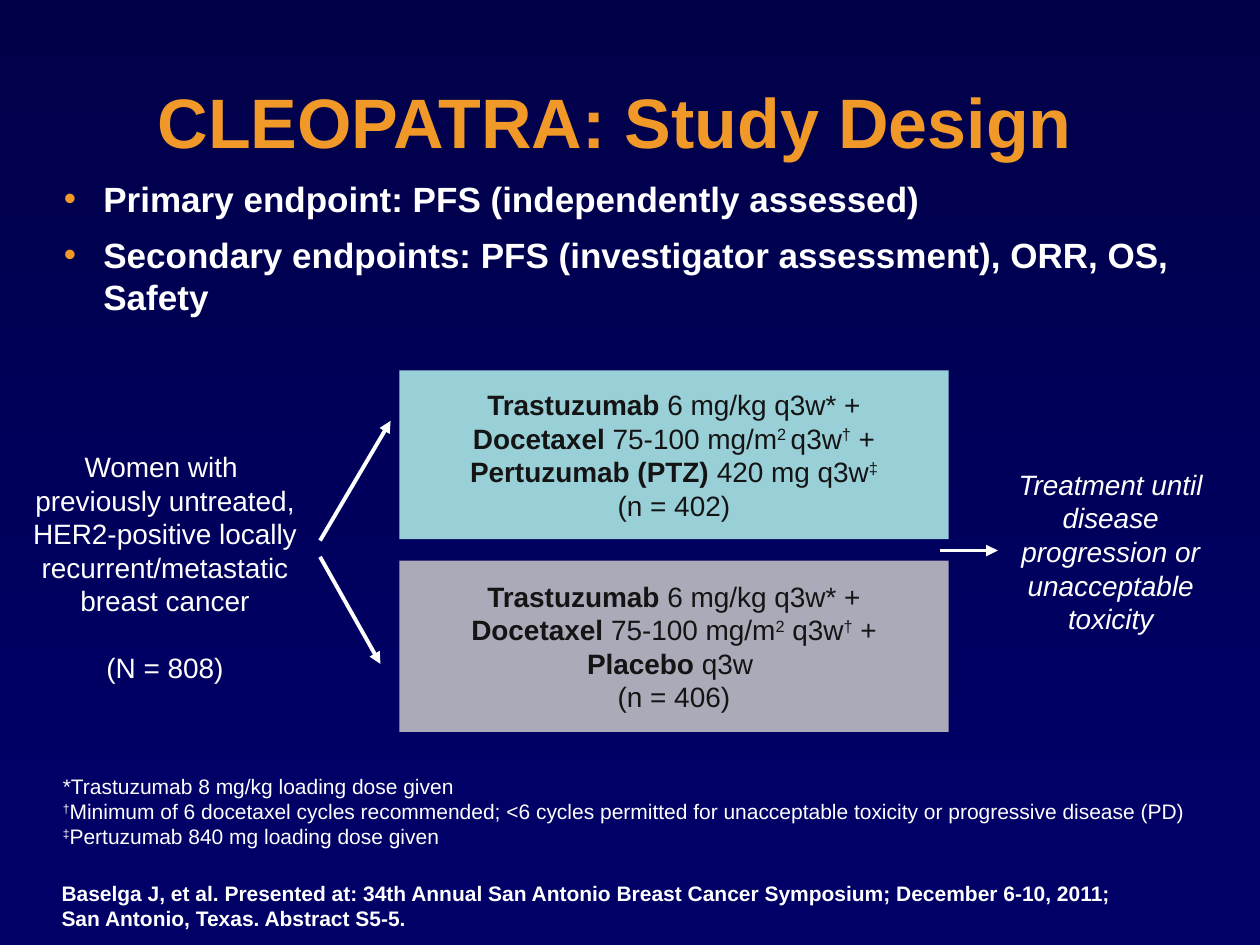
from lxml import etree
from pptx import Presentation
from pptx.dml.color import RGBColor
from pptx.enum.shapes import MSO_CONNECTOR, MSO_SHAPE
from pptx.enum.text import MSO_ANCHOR, PP_ALIGN
from pptx.oxml.ns import qn
from pptx.util import Pt

RECT, LINE = MSO_SHAPE.RECTANGLE, MSO_CONNECTOR.STRAIGHT
TOP, MID, LOW = MSO_ANCHOR.TOP, MSO_ANCHOR.MIDDLE, MSO_ANCHOR.BOTTOM
LEFT, MIDDLE = PP_ALIGN.LEFT, PP_ALIGN.CENTER
HUES = {"base": "000066", "dark": "000049", "gold": "F09828", "white": "FFFFFF",
        "ink": "141415", "teal": "99D0D7", "gray": "AAAAB8"}

# Content: a paragraph is a list of (text, mark); mark b = bold, ^ = superscript
TITLE = [[("CLEOPATRA: Study Design", "b")]]
GOALS = [[("Primary endpoint: PFS (independently assessed)", "b")],
         [("Secondary endpoints: PFS (investigator assessment), ORR, OS, Safety", "b")]]
WOMEN = [[("Women with \vpreviously untreated, HER2-positive locally "
           "recurrent/metastatic breast cancer", "")],
         [("(N = 808)", "")]]
FIRST = [("Trastuzumab ", "b"), ("6 mg/kg q3w* +", "")]
DOSE = [("Docetaxel ", "b"), ("75-100 mg/m", "")]
END = [("†", "^"), (" +", "")]
ARMS = [
    ("teal", 211.7, 96.5, [
        FIRST, DOSE + [("2 ", "^"), ("q3w", "")] + END,
        [("Pertuzumab (PTZ) ", "b"), ("420 mg q3w", ""), ("‡", "^")],
        [("(n = 402)", "")]]),
    ("gray", 320.4, 97.9, [
        FIRST, DOSE + [("2", "^"), (" q3w", "")] + END,
        [("Placebo ", "b"), ("q3w ", "")],
        [("(n = 406)", "")]]),
]
UNTIL = [[("Treatment until disease progression or unacceptable toxicity", "i")]]
NOTES = [[("*Trastuzumab 8 mg/kg loading dose given", "")],
         [("†", "^"), ("Minimum of 6 docetaxel cycles recommended; <6 cycles permitted "
                       "for unacceptable toxicity or progressive disease (PD)", "")],
         [("‡", "^"), ("Pertuzumab 840 mg loading dose given", "")]]
CITE = [[("Baselga J, et al. Presented at: 34th Annual San Antonio Breast Cancer "
          "Symposium; December 6-10, 2011; \vSan Antonio, Texas. Abstract S5-5.", "b")]]

# Text boxes: paragraphs, place, size, hue, anchor, paragraph format
TEXTS = {
    "title": (TITLE, (18, 28.1, 666.7, 87.1), 40, "gold", MID,
              {"alignment": MIDDLE, "line_spacing": 0.9}),
    "goals": (GOALS, (29.5, 97.9, 666.7, 88.6), 20, "white", TOP,
              {"alignment": LEFT, "space_before": Pt(8)}),
    "women": (WOMEN, (0, 253.4, 188.6, 143.3), 16, "white", TOP,
              {"alignment": MIDDLE, "space_before": Pt(19)}),
    "until": (UNTIL, (558, 262.8, 153.4, 104.4), 16, "white", MID,
              {"alignment": MIDDLE}),
    "notes": (NOTES, (28.8, 438.5, 666, 51.1), 12, "white", TOP,
              {"alignment": LEFT}),
    "cite": (CITE, (28.1, 499.7, 673.9, 36), 12, "white", LOW,
             {"alignment": LEFT}),
}
ARROWS = [(537.1, 314.6, 570.2, 314.6), (182.9, 318.2, 217.4, 379.4),
          (182.9, 308.9, 223.2, 240.5)]


def rgb(hue):
    return RGBColor.from_string(HUES[hue])


def add(node, tag, **attrs):
    return etree.SubElement(node, qn(tag), attrs)


def write(shape, paras, size, hue, anchor, form, wrap=True):
    frame = shape.text_frame
    frame.word_wrap = wrap
    frame.vertical_anchor = anchor
    for i, runs in enumerate(paras):
        para = frame.paragraphs[0] if i == 0 else frame.add_paragraph()
        for key, val in form.items():
            if i or key != "space_before":
                setattr(para, key, val)
        for text, mark in runs:
            # A vertical tab in the text becomes a line break
            for j, part in enumerate(text.split("\v")):
                if j:
                    para.add_line_break()
                run = para.add_run()
                run.text = part
                font = run.font
                look = {"name": "Arial", "size": Pt(size),
                        "bold": mark == "b", "italic": mark == "i"}
                for key, val in look.items():
                    setattr(font, key, val)
                font.color.rgb = rgb(hue)
                if mark == "^":
                    run._r.get_or_add_rPr().set("baseline", "30000")


def bullet(para):
    props = para._p.get_or_add_pPr()
    props.set("marL", str(Pt(22.5)))
    props.set("indent", str(-Pt(22.5)))
    add(add(props, "a:buClr"), "a:srgbClr", val=HUES["gold"])
    add(props, "a:buFont", typeface="Arial")
    add(props, "a:buChar", char="•")


def shade(run):
    glow = etree.Element(qn("a:effectLst"))
    drop = add(glow, "a:outerShdw", dist=str(Pt(3)), dir="2700000")
    add(drop, "a:srgbClr", val="000000")
    run._r.get_or_add_rPr().find(qn("a:solidFill")).addnext(glow)


def block(slide, place):
    shape = slide.shapes.add_shape(RECT, *map(Pt, place))
    shape.shadow.inherit = False
    shape.line.fill.background()
    return shape


def main():
    deck = Presentation()
    deck.slide_width, deck.slide_height = Pt(720), Pt(540)
    slide = deck.slides.add_slide(deck.slide_layouts[6])

    # Backdrop
    back = slide.background.fill
    back.solid()
    back.fore_color.rgb = rgb("base")
    fade = block(slide, (0, 0, 720, 462.2)).fill
    fade.gradient()
    fade.gradient_angle = 270
    for stop, hue, pos in zip(fade.gradient_stops, ("dark", "base"), (0, 1)):
        stop.color.rgb = rgb(hue)
        stop.position = pos

    # Text
    boxes = {}
    for name, (paras, place, *style) in TEXTS.items():
        boxes[name] = slide.shapes.add_textbox(*map(Pt, place))
        write(boxes[name], paras, *style)
    shade(boxes["title"].text_frame.paragraphs[0].runs[0])
    for para in boxes["goals"].text_frame.paragraphs:
        bullet(para)

    # Treatment arms
    for hue, top, high, paras in ARMS:
        arm = block(slide, (228.2, top, 313.9, high))
        arm.fill.solid()
        arm.fill.fore_color.rgb = rgb(hue)
        write(arm, paras, 16, "ink", MID, {"alignment": MIDDLE}, wrap=False)

    # Arrows
    for ends in ARROWS:
        arrow = slide.shapes.add_connector(LINE, *map(Pt, ends))
        arrow.line.color.rgb = rgb("white")
        arrow.line.width = Pt(2.25)
        add(arrow.line._get_or_add_ln(), "a:tailEnd", type="triangle")
        add(arrow._element.spPr, "a:effectLst")

    deck.save("out.pptx")


if __name__ == "__main__":
    main()
